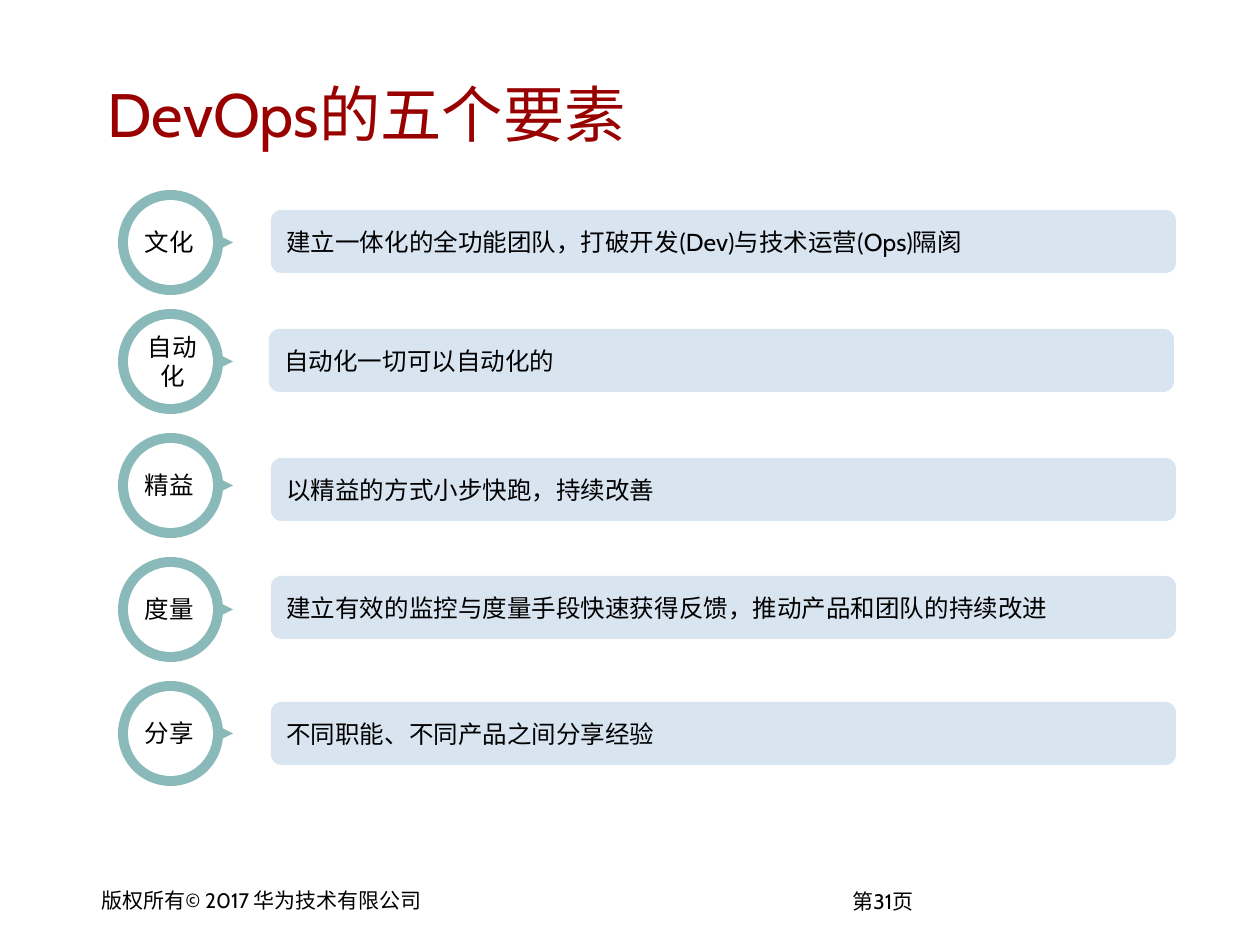
from lxml.etree import SubElement
from pptx import Presentation
from pptx.dml.color import RGBColor
from pptx.enum.shapes import MSO_SHAPE
from pptx.enum.text import MSO_ANCHOR, PP_ALIGN
from pptx.oxml.ns import qn
from pptx.util import Emu, Pt

SCALE = 914400 / 126
LATIN, HAN = "Cabin", "Noto Sans CJK SC"
TEAL, PALE, RED = "8AB9B9", "CBDBED", "990000"
DISC = 105

# label, sentence, disc top, bar left, bar top
ROWS = [
    ("文化", "建⽴一体化的全功能团队，打破开发(Dev)与技术运营(Ops)隔阂", 190, 271, 210),
    ("自动化", "自动化一切可以自动化的", 309, 269, 329),
    ("精益", "以精益的⽅式⼩步快跑，持续改善", 433, 271, 458),
    ("度量", "建⽴有效的监控与度量手段快速获得反馈，推动产品和团队的持续改进", 557, 271, 576),
    ("分享", "不同职能、不同产品之间分享经验", 681, 271, 702),
]


def px(*nums):
    return [Emu(round(n * SCALE)) for n in nums]


def color(code):
    return RGBColor.from_string(code)


def write(shape, text, size, font=LATIN, code="000000",
          align=PP_ALIGN.LEFT, anchor=MSO_ANCHOR.MIDDLE):
    frame = shape.text_frame
    frame.text = text
    frame.word_wrap = True
    frame.vertical_anchor = anchor
    para = frame.paragraphs[0]
    para.alignment = align
    para.font.size = Pt(size)
    para.font.name = font
    para.font.color.rgb = color(code)


def add_form(shapes, kind, box, code):
    form = shapes.add_shape(kind, *px(*box))
    form.shadow.inherit = False
    form.fill.solid()
    form.fill.fore_color.rgb = color(code)
    form.line.fill.background()
    return form


def add_bar(shapes, left, top, text):
    bar = add_form(shapes, MSO_SHAPE.ROUNDED_RECTANGLE, (left, top, 905, 63), PALE)
    tint = bar.fill._xPr.find(qn("a:solidFill"))[0]
    SubElement(tint, qn("a:alpha"), val="73000")
    write(bar, text, 14)


def add_badge(shapes, top, text):
    group = shapes.add_group_shape().shapes
    mid = top + DISC // 2
    add_form(group, MSO_SHAPE.OVAL, (118, top, DISC, DISC), TEAL)
    add_form(group, MSO_SHAPE.OVAL, (128, top + 10, 85, 85), "FFFFFF")
    # A three-sign label takes two lines
    wide, high = (89, 72) if len(text) > 2 else (83, 43)
    label = group.add_textbox(*px(128, mid - high / 2, wide, high))
    write(label, text, 14, HAN, align=PP_ALIGN.CENTER)
    tip = add_form(group, MSO_SHAPE.ISOSCELES_TRIANGLE, (218, mid - 7, 15, 15), TEAL)
    tip.rotation = 90


def add_foot(shapes, left, top, width, text):
    foot = shapes.add_textbox(*px(left, top, width, 37))
    frame = foot.text_frame
    frame.margin_top, frame.margin_bottom = px(5, 5)
    write(foot, text, 12, anchor=MSO_ANCHOR.TOP)


def main():
    deck = Presentation()
    deck.slide_width, deck.slide_height = px(1260, 945)
    slide = deck.slides.add_slide(deck.slide_layouts[5])
    shapes = slide.shapes

    # Title
    title = shapes.title
    title.left, title.top, title.width, title.height = px(95, 53, 1063, 120)
    write(title, "DevOps的五个要素", 35, code=RED)

    # Five elements
    for label, text, top, left, level in ROWS:
        add_bar(shapes, left, level, text)
        add_badge(shapes, top, label)

    # Footer
    add_foot(shapes, 89, 883, 352, "版权所有© 2017 华为技术有限公司")
    add_foot(shapes, 840, 884, 91, "第31页")

    deck.save("out.pptx")


if __name__ == "__main__":
    main()
